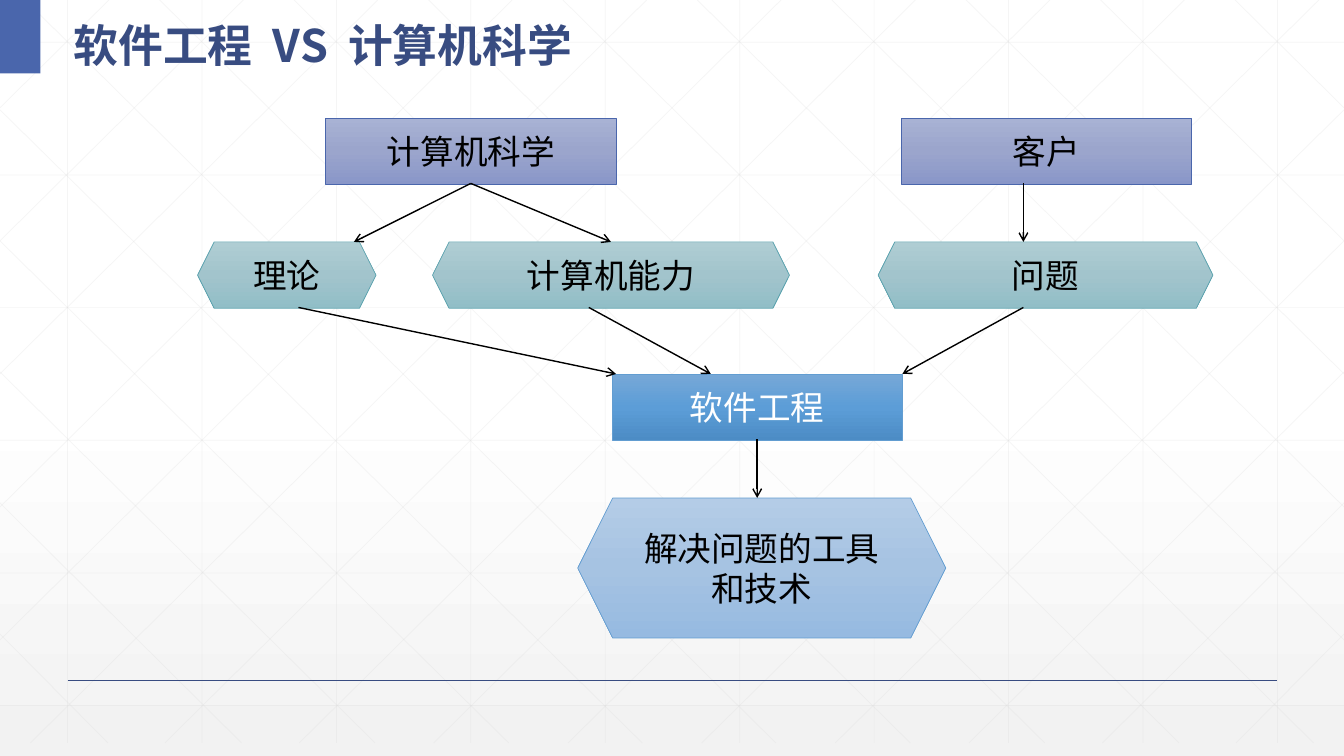
from dataclasses import dataclass

from lxml import etree
from pptx import Presentation
from pptx import util as u
from pptx.dml import color
from pptx.enum import shapes, text
from pptx.oxml import ns

WIDTH, HEIGHT, GRID_BOTTOM = 13.33, 7.5, 7.37
RECT, HEXAGON = shapes.MSO_SHAPE.RECTANGLE, shapes.MSO_SHAPE.HEXAGON
COLORS = {"navy": "384C81", "accent": "4A66AC", "grid": "D9D9D9",
          "black": "000000", "white": "FFFFFF", "teal": "5AA2AE", "blue": "629DD1"}
GRADIENTS = {
    "violet": ("A8B2D4", "9BA5CC", "8996C8"),
    "teal": ("AFCDD3", "A2C4CC", "91BEC7"),
    "strong": ("77A8D7", "5C9DD7", "4C8CC5"),
    "pale": ("B4CCE7", "A6C3E2", "96BAE1"),
}
FRAME_FORMAT = {"word_wrap": True, "auto_size": text.MSO_AUTO_SIZE.NONE,
                "vertical_anchor": text.MSO_ANCHOR.MIDDLE}


@dataclass
class Node:
    label: str
    left: float
    top: float
    width: float
    gradient: str
    outline: str
    kind: shapes.MSO_SHAPE = RECT
    height: float = 0.66
    ink: str = "black"


@dataclass
class Line:
    x1: float
    y1: float
    x2: float
    y2: float
    ink: str = "black"
    weight: float = 1
    opacity: int = 100
    arrow: bool = False


NODES = [
    Node("计算机科学", 3.23, 1.17, 2.88, "violet", "accent"),
    Node("客户", 8.94, 1.17, 2.88, "violet", "accent"),
    Node("理论", 1.96, 2.4, 1.77, "teal", "teal", HEXAGON),
    Node("计算机能力", 4.29, 2.4, 3.54, "teal", "teal", HEXAGON),
    Node("问题", 8.71, 2.4, 3.32, "teal", "teal", HEXAGON),
    Node("软件工程", 6.07, 3.71, 2.88, "strong", "blue", ink="white"),
    Node("解决问题的工具和技术", 5.73, 4.94, 3.65, "pale", "blue", HEXAGON, 1.39),
]
ARROWS = [
    Line(*ends, arrow=True) for ends in (
        (4.67, 1.82, 3.51, 2.4), (4.67, 1.82, 6.06, 2.4), (10.15, 1.82, 10.15, 2.4),
        (10.15, 3.05, 8.95, 3.71), (2.96, 3.05, 6.11, 3.71), (5.84, 3.05, 7.05, 3.71),
        (7.51, 4.36, 7.51, 4.94))
]


def rgb(name: str) -> color.RGBColor:
    return color.RGBColor.from_string(COLORS[name])


def add_alpha(parent, percent: int) -> None:
    etree.SubElement(parent, ns.qn("a:alpha"), val=str(percent * 1000))


def set_gradient(fill, owner, stops: list[tuple[int, str, int]]) -> None:
    """Top-to-bottom gradient from (position, hex, opacity) stops."""
    fill.gradient()
    gradient = next(owner.iter(ns.qn("a:gradFill")))
    stop_list = gradient.find(ns.qn("a:gsLst"))
    for old in list(stop_list):
        stop_list.remove(old)
    for position, value, opacity in stops:
        stop = etree.SubElement(stop_list, ns.qn("a:gs"), pos=str(position * 1000))
        ink = etree.SubElement(stop, ns.qn("a:srgbClr"), val=value)
        if opacity < 100:
            add_alpha(ink, opacity)
    gradient.find(ns.qn("a:lin")).set("ang", "5400000")


def write_text(shape, parts: list[str], font: str, size: float, ink: str,
               align: text.PP_ALIGN, bold: bool = False, spacing: float = 1) -> None:
    for name, value in FRAME_FORMAT.items():
        setattr(shape.text_frame, name, value)
    para = shape.text_frame.paragraphs[0]
    for name, value in {"alignment": align, "line_spacing": spacing}.items():
        setattr(para, name, value)
    for part in parts:
        span = para.add_run()
        span.text = part
        span.font.color.rgb = rgb(ink)
        for name, value in {"size": u.Pt(size), "bold": bold, "name": font}.items():
            setattr(span.font, name, value)
    for properties in shape.element.iter(ns.qn("a:rPr")):
        etree.SubElement(properties, ns.qn("a:ea"), typeface=font)


def draw_line(page, line: Line) -> None:
    ends = [u.Inches(v) for v in (line.x1, line.y1, line.x2, line.y2)]
    connector = page.shapes.add_connector(shapes.MSO_CONNECTOR.STRAIGHT, *ends)
    connector.line.color.rgb = rgb(line.ink)
    connector.line.width = u.Pt(line.weight)
    outline = next(connector.element.iter(ns.qn("a:ln")))
    if line.opacity < 100:
        add_alpha(next(outline.iter(ns.qn("a:srgbClr"))), line.opacity)
    if line.arrow:
        etree.SubElement(outline, ns.qn("a:tailEnd"), type="arrow")
    etree.SubElement(outline.getparent(), ns.qn("a:effectLst"))


def draw_node(page, node: Node) -> None:
    place = [u.Inches(v) for v in (node.left, node.top, node.width, node.height)]
    shape = page.shapes.add_shape(node.kind, *place)
    shape.shadow.inherit = False
    stops = [(50 * i, value, 100) for i, value in enumerate(GRADIENTS[node.gradient])]
    set_gradient(shape.fill, shape.element, stops)
    shape.line.color.rgb = rgb(node.outline)
    shape.line.width = u.Pt(0.5)
    write_text(shape, [node.label], "Arial", 24, node.ink, text.PP_ALIGN.CENTER)


def grid_lines() -> list[Line]:
    step, slope = 4 / 3, 0.99
    ends = [(0.67 + step * i, 0, 0.67 + step * i, GRID_BOTTOM) for i in range(10)]
    ends += [(0, 0.42 + 1.316 * i, WIDTH, 0.42 + 1.316 * i) for i in range(6)]
    diagonals = []
    for i in range(10):  # from the top edge to the bottom or right edge
        start = 0.25 + step * i
        run = min(GRID_BOTTOM / slope, WIDTH - start)
        diagonals.append((start, 0, start + run, run * slope))
    for i in range(5):  # from the bottom edge to the left edge
        diagonals.append((6.37 - 1.325 * i, GRID_BOTTOM, 0, 1.09 + 1.3 * i))
    mirrored = [(WIDTH - x1, y1, WIDTH - x2, y2) for x1, y1, x2, y2 in diagonals]
    return [Line(*end, ink="grid", weight=0.5, opacity=25)
            for end in ends + diagonals + mirrored]


def main() -> None:
    deck = Presentation()
    deck.slide_width, deck.slide_height = u.Inches(WIDTH), u.Inches(HEIGHT)
    page = deck.slides.add_slide(deck.slide_layouts[6])

    # Background and grid
    set_gradient(page.background.fill, page.element,
                 [(0, "FFFFFF", 100), (53, "FFFFFF", 100), (100, "F2F2F2", 65)])
    for line in grid_lines():
        draw_line(page, line)

    # Footer rule and corner block
    draw_line(page, Line(0.67, 6.75, 12.67, 6.75, ink="navy"))
    corner = page.shapes.add_shape(RECT, 0, 0, u.Inches(0.4), u.Inches(0.73))
    corner.shadow.inherit = False
    corner.fill.solid()
    corner.fill.fore_color.rgb = rgb("accent")
    corner.line.fill.background()

    # Title, with widened gaps around VS
    title = page.shapes.add_textbox(u.Inches(0.63), 0, u.Inches(5.69), u.Inches(0.73))
    write_text(title, ["软件工程", " ", "VS", " ", "计算机科学"], "Noto Sans CJK SC", 32,
               "navy", text.PP_ALIGN.LEFT, bold=True, spacing=1.3)
    for span in title.element.iter(ns.qn("a:r")):
        if span.find(ns.qn("a:t")).text == " ":
            span.find(ns.qn("a:rPr")).set("spc", "700")

    # Diagram
    for node in NODES:
        draw_node(page, node)
    for arrow in ARROWS:
        draw_line(page, arrow)

    deck.save("out.pptx")


if __name__ == "__main__":
    main()
